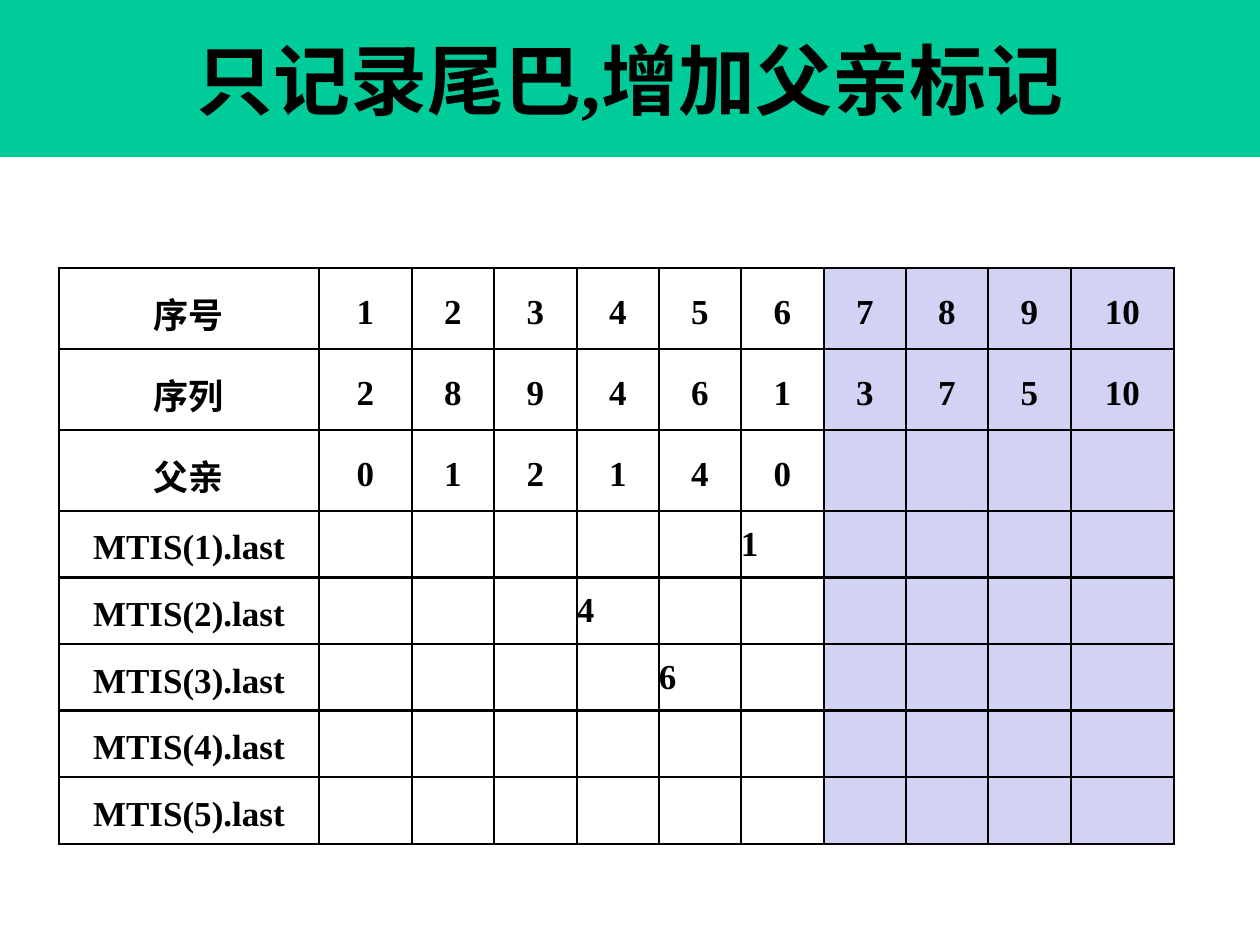
import dataclasses

import pptx
import pptx.dml.color
import pptx.enum.text
import pptx.oxml
import pptx.oxml.ns
import pptx.util

EMU_PER_PX = 914400 / 126
ANCHOR = pptx.enum.text.MSO_ANCHOR
ALIGN = pptx.enum.text.PP_ALIGN

COLUMN_WIDTHS = [260, 93, 82, 83, 82, 82, 83, 82, 82, 83, 103]
ROW_HEIGHTS = [81] * 3 + [66] * 5
HEADED_ROWS = [
    ["序号", 1, 2, 3, 4, 5, 6, 7, 8, 9, 10],
    ["序列", 2, 8, 9, 4, 6, 1, 3, 7, 5, 10],
    ["父亲", 0, 1, 2, 1, 4, 0],
]
TAILS = {1: (6, 1), 2: (4, 4), 3: (5, 6)}
FIRST_PENDING_COLUMN = 7


@dataclasses.dataclass(frozen=True)
class Theme:
    """Colours, font and type sizes of the slide."""

    font: str = "Times New Roman"
    ink: str = "000000"
    banner: str = "00CC99"
    pending: str = "D2D2F4"
    title_size: int = 44
    cell_size: int = 20
    border_width: float = 1.5


THEME = Theme()
CENTRED = {"alignment": ALIGN.CENTER, "line_spacing": 1.2}
TAIL_MARK = {"alignment": ALIGN.LEFT, "space_before": pptx.util.Pt(4)}


def px(length):
    """Turn pixels into EMU."""
    return pptx.util.Emu(round(length * EMU_PER_PX))


def apply(target, values):
    """Set each attribute named in a dict of format values."""
    for name, value in values.items():
        setattr(target, name, value)


def paint(fill, colour):
    """Give a fill one solid colour."""
    fill.solid()
    fill.fore_color.rgb = pptx.dml.color.RGBColor.from_string(colour)


def write(frame, text, size, para_format):
    """Write one bold paragraph into a text frame."""
    para = frame.paragraphs[0]
    apply(para, para_format)
    span = para.add_run()
    span.text = str(text)
    apply(span.font, {"name": THEME.font, "size": pptx.util.Pt(size), "bold": True})
    span.font.color.rgb = pptx.dml.color.RGBColor.from_string(THEME.ink)


def add_borders(cell):
    """Draw a line on all four sides of a cell."""
    properties = cell._tc.get_or_add_tcPr()
    width = pptx.util.Pt(THEME.border_width)
    for side in "LRTB":
        properties.append(pptx.oxml.parse_xml(
            f'<a:ln{side} {pptx.oxml.ns.nsdecls("a")} w="{width}"><a:solidFill>'
            f'<a:srgbClr val="{THEME.ink}"/></a:solidFill></a:ln{side}>'))


def table_rows():
    """List the header rows, then one row for each sequence tail."""
    rows = [list(row) for row in HEADED_ROWS]
    for number in range(1, 6):
        row = [f"MTIS({number}).last"] + [""] * 10
        if number in TAILS:
            column, value = TAILS[number]
            row[column] = value
        rows.append(row)
    return [row + [""] * (len(COLUMN_WIDTHS) - len(row)) for row in rows]


def build_banner(page, left, top, width, height):
    """Format the title placeholder as a banner in the given box."""
    title = page.shapes.title
    apply(title, {"left": px(left), "top": px(top),
                  "width": px(width), "height": px(height)})
    paint(title.fill, THEME.banner)
    apply(title.text_frame, {"vertical_anchor": ANCHOR.MIDDLE, "word_wrap": True})
    write(title.text_frame, "只记录尾巴,增加父亲标记", THEME.title_size,
          {"alignment": ALIGN.CENTER})


def build_sequence_table(page, left, top):
    """Place the sequence table with its corner at the given point."""
    rows = table_rows()
    table = page.shapes.add_table(
        len(rows), len(COLUMN_WIDTHS), px(left), px(top),
        px(sum(COLUMN_WIDTHS)), px(sum(ROW_HEIGHTS))).table
    apply(table, {"first_row": False, "horz_banding": False})
    for column, width in zip(table.columns, COLUMN_WIDTHS):
        column.width = px(width)
    for row, height in zip(table.rows, ROW_HEIGHTS):
        row.height = px(height)
    for row_index, values in enumerate(rows):
        for column_index, value in enumerate(values):
            cell = table.cell(row_index, column_index)
            apply(cell, {"vertical_anchor": ANCHOR.MIDDLE,
                         "margin_left": 0, "margin_right": 0,
                         "margin_top": px(10), "margin_bottom": px(10)})
            add_borders(cell)
            if column_index >= FIRST_PENDING_COLUMN:
                paint(cell.fill, THEME.pending)
            else:
                cell.fill.background()
            if value != "":
                is_tail = row_index >= len(HEADED_ROWS) and column_index > 0
                write(cell.text_frame, value, THEME.cell_size,
                      TAIL_MARK if is_tail else CENTRED)


def main():
    """Build the slide and save the deck."""
    deck = pptx.Presentation()
    apply(deck, {"slide_width": px(1260), "slide_height": px(945)})
    page = deck.slides.add_slide(deck.slide_layouts.get_by_name("Title Only"))
    build_banner(page, 0, 0, 1260, 157)
    build_sequence_table(page, 59, 268)
    deck.save("out.pptx")


if __name__ == "__main__":
    main()
